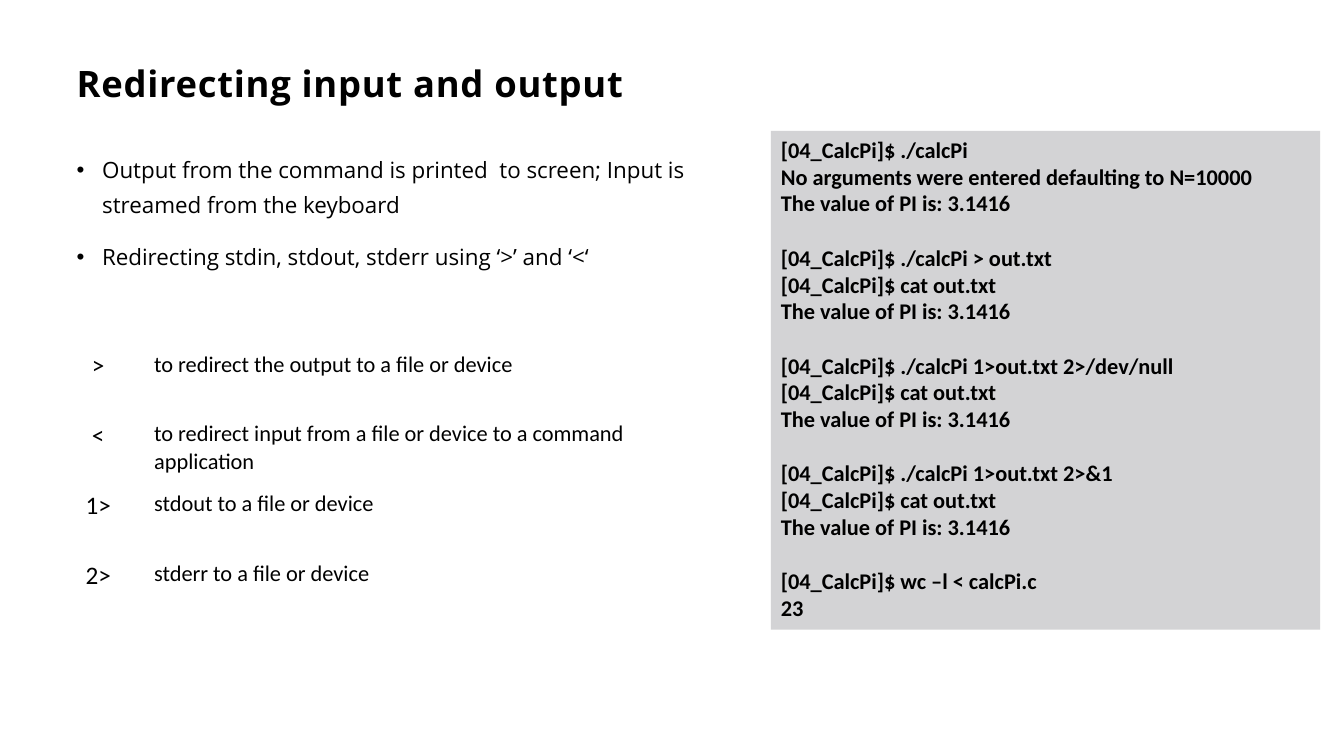
import pptx
import pptx.util
import pptx.dml.color
import pptx.enum.shapes
import pptx.enum.text

Cm, Pt = pptx.util.Cm, pptx.util.Pt
Align, Anchor, AutoSize = (pptx.enum.text.PP_ALIGN, pptx.enum.text.MSO_ANCHOR,
                           pptx.enum.text.MSO_AUTO_SIZE)

COLOURS = {"text": "000000", "panel": "D3D3D5"}
HEADING_FONT, DETAIL_FONT = "Open Sans", "Calibri"

TITLE = "Redirecting input and output"
BULLETS = [
    "Output from the command is printed  to screen; Input is streamed from the keyboard",
    "Redirecting stdin, stdout, stderr using ‘>’ and ‘<‘",
]
OPERATORS = [
    (">", "to redirect the output to a file or device"),
    ("<", "to redirect input from a file or device to a command application"),
    ("1>", "stdout to a file or device"),
    ("2>", "stderr to a file or device"),
]
PROMPT = "[04_CalcPi]$ "
RESULT = "The value of PI is: 3.1416"
SESSIONS = [
    [PROMPT + "./calcPi", "No arguments were entered defaulting to N=10000", RESULT],
    *[[PROMPT + command, PROMPT + "cat out.txt", RESULT]
      for command in ("./calcPi > out.txt", "./calcPi 1>out.txt 2>/dev/null",
                      "./calcPi 1>out.txt 2>&1")],
    [PROMPT + "wc –l < calcPi.c", "23"],
]


def colour(name):
    """Return the named colour."""
    return pptx.dml.color.RGBColor.from_string(COLOURS[name])


def style(para, face, size, bold=False, align=Align.LEFT):
    """Set the font and alignment of a paragraph."""
    para.font.name, para.font.size, para.font.bold = face, Pt(size), bold
    para.font.color.rgb = colour("text")
    para.alignment = align


def place(shape, box):
    """Move a shape to a box of left, top, width and height in centimetres."""
    shape.left, shape.top, shape.width, shape.height = map(Cm, box)


def fill_title(page, box):
    """Write the slide title."""
    title = page.shapes.title
    place(title, box)
    frame = title.text_frame
    frame.text = TITLE
    frame.vertical_anchor, frame.auto_size = Anchor.TOP, AutoSize.NONE
    para = frame.paragraphs[0]
    style(para, HEADING_FONT, 26, bold=True)
    para.line_spacing = 0.9
    para.runs[0].font._element.set("spc", "50")


def fill_bullets(page, box):
    """Write the bulleted list."""
    body = page.placeholders[1]
    place(body, box)
    frame = body.text_frame
    frame.text = "\n".join(BULLETS)
    frame.vertical_anchor, frame.auto_size = Anchor.TOP, AutoSize.NONE
    for para in frame.paragraphs:
        style(para, HEADING_FONT, 16)
        para.line_spacing, para.space_before, para.space_after = 1.3, Pt(0), Pt(12)
        properties = para._p.get_or_add_pPr()
        properties.set("marL", str(Cm(0.64)))
        properties.set("indent", str(-Cm(0.64)))


def add_operators(page, box):
    """Add the table of redirection operators."""
    table = page.shapes.add_table(len(OPERATORS), 2, *map(Cm, box)).table
    table.first_row = table.horz_banding = False
    symbol_width = 2.31
    table.columns[0].width = Cm(symbol_width)
    table.columns[1].width = Cm(box[2] - symbol_width)
    formats = [(18, Align.CENTER), (16, Align.LEFT)]
    for row, texts in zip(table.rows, OPERATORS):
        for cell, text, (size, align) in zip(row.cells, texts, formats):
            cell.text = text
            cell.fill.background()
            style(cell.text_frame.paragraphs[0], DETAIL_FONT, size, align=align)


def add_terminal(page, box):
    """Add the grey panel of terminal sessions."""
    panel = page.shapes.add_shape(pptx.enum.shapes.MSO_SHAPE.RECTANGLE, *map(Cm, box))
    panel.shadow.inherit = False
    panel.fill.solid()
    panel.fill.fore_color.rgb = colour("panel")
    panel.line.fill.background()
    frame = panel.text_frame
    frame.word_wrap = True
    frame.vertical_anchor, frame.auto_size = Anchor.TOP, AutoSize.SHAPE_TO_FIT_TEXT
    frame.text = "\n".join(line for session in SESSIONS for line in session)
    paragraphs = iter(frame.paragraphs)
    for number, session in enumerate(SESSIONS):
        for position, _ in enumerate(session):
            para = next(paragraphs)
            style(para, DETAIL_FONT, 16, bold=True)
            if number and position == 0:
                para.space_before = Pt(19.5)


def main():
    """Build and save the deck."""
    deck = pptx.Presentation()
    deck.slide_width, deck.slide_height = Cm(33.87), Cm(19.05)
    page = deck.slides.add_slide(deck.slide_layouts[1])
    fill_title(page, (1.68, 1.55, 30.28, 1.75))
    fill_bullets(page, (1.68, 3.61, 16.64, 11.33))
    add_operators(page, (1.32, 8.71, 16.64, 7.04))
    add_terminal(page, (19.43, 3.3, 13.84, 12.57))
    deck.save("out.pptx")


if __name__ == "__main__":
    main()
